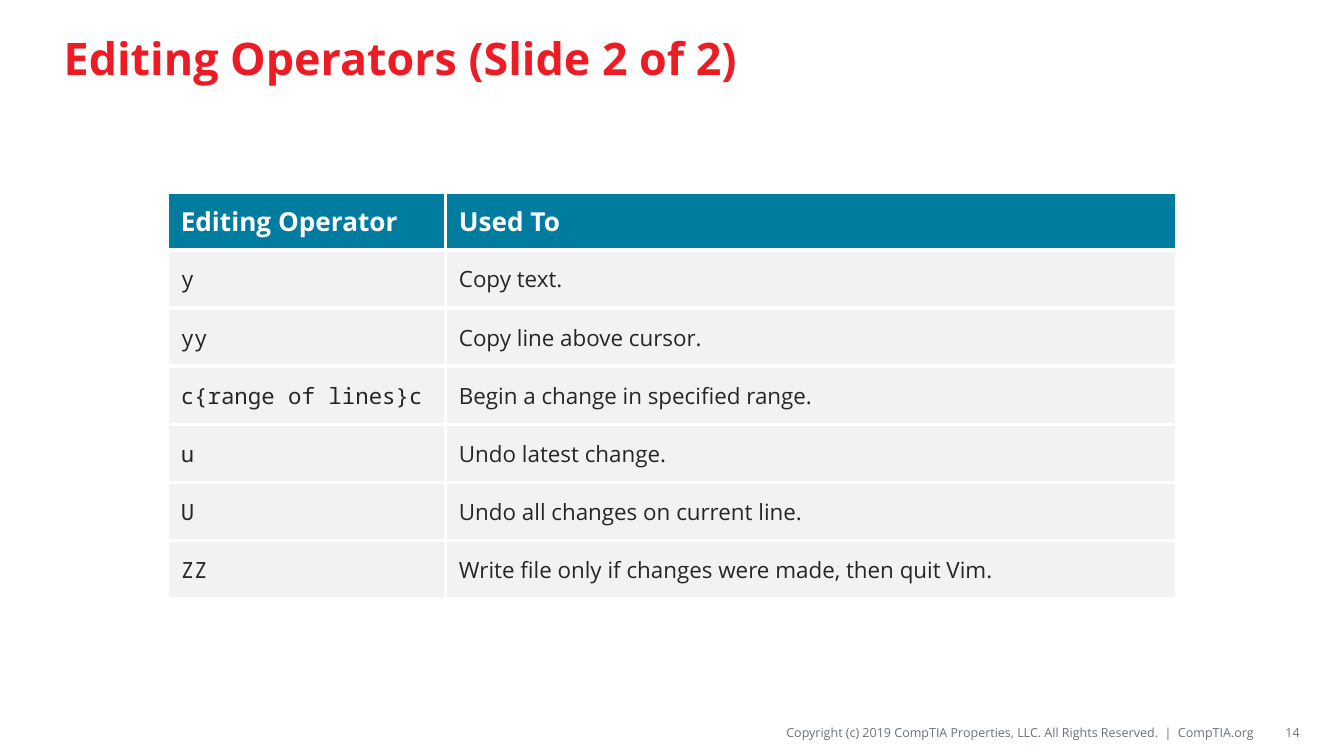
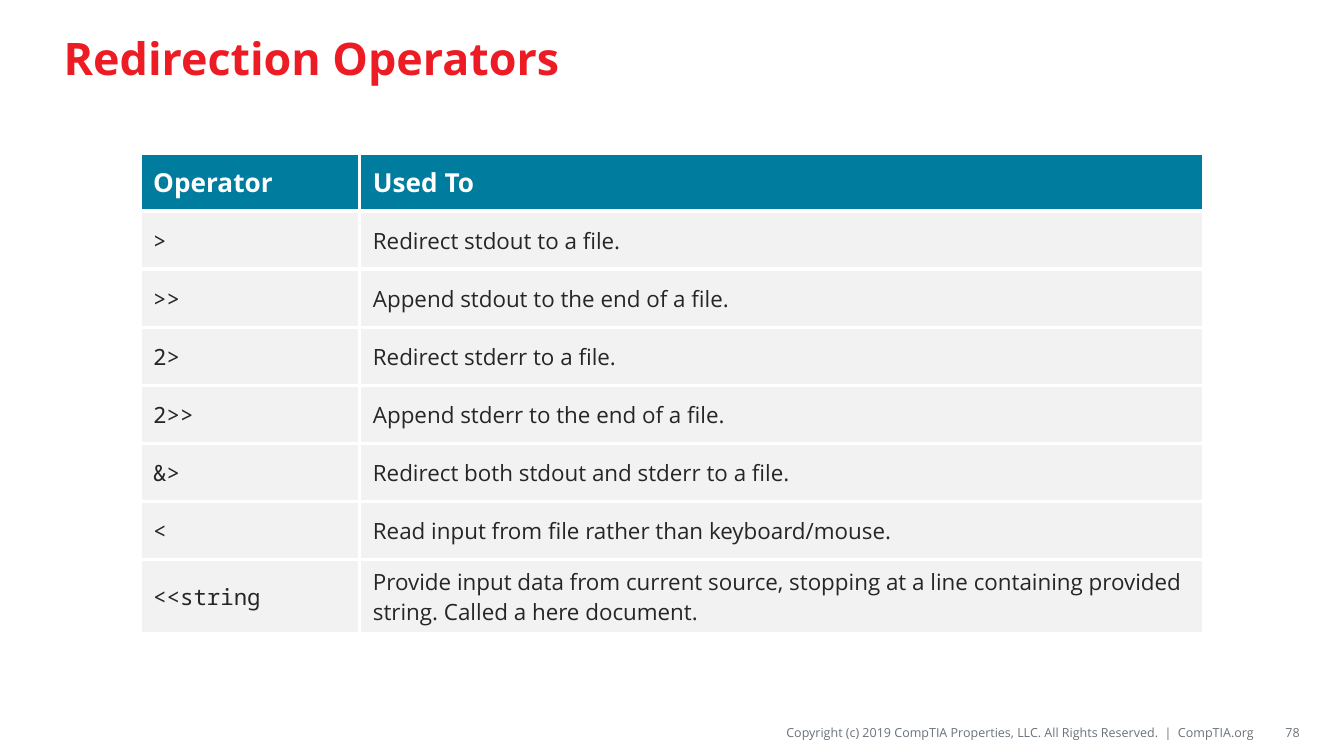
from lxml.etree import SubElement
from pptx import Presentation
from pptx.dml.color import RGBColor
from pptx.enum.text import MSO_ANCHOR as Anchor, PP_ALIGN as Align
from pptx.oxml.ns import qn
from pptx.util import Inches, Pt

WIDTH = Inches(10)
HEIGHT = WIDTH * 9 // 16
COLUMNS, ROWS = 100, 56.25
TABLE_ROW, WRAPPED_ROW = 4.32, 5.5
LINE_LENGTH = 80
COLORS = {
    "title": "ED1C24",
    "footer": "69727B",
    "header": "007C9E",
    "band": "F2F2F2",
    "body": "262626",
    "white": "FFFFFF",
}
SANS, MONO = "Open Sans", "Noto Sans Mono"
COPYRIGHT = "Copyright (c) 2019 CompTIA Properties, LLC. All Rights Reserved.  |  CompTIA.org"

EDITING = [
    ("Editing Operator", "Used To"),
    ("y", "Copy text."),
    ("yy", "Copy line above cursor."),
    ("c{range of lines}c", "Begin a change in specified range."),
    ("u", "Undo latest change."),
    ("U", "Undo all changes on current line."),
    ("ZZ", "Write file only if changes were made, then quit Vim."),
]
REDIRECTION = [
    ("Operator", "Used To"),
    (">", "Redirect stdout to a file."),
    (">>", "Append stdout to the end of a file."),
    ("2>", "Redirect stderr to a file."),
    ("2>>", "Append stderr to the end of a file."),
    ("&>", "Redirect both stdout and stderr to a file."),
    ("<", "Read input from file rather than keyboard/mouse."),
    ("<<string", "Provide input data from current source, stopping at a line "
                 "containing provided string. Called a here document."),
]


def across(columns):
    return round(WIDTH * columns / COLUMNS)


def down(rows):
    return round(HEIGHT * rows / ROWS)


def write(frame, text, size=12, color="body", font=SANS, bold=False, align=Align.LEFT):
    frame.word_wrap = True
    paragraph = frame.paragraphs[0]
    paragraph.alignment = align
    run = paragraph.add_run()
    run.text = text
    run.font.size = Pt(size)
    run.font.name = font
    run.font.bold = bold
    run.font.color.rgb = RGBColor.from_string(COLORS[color])


class Deck:
    def __init__(self):
        self.show = Presentation()
        self.show.slide_width, self.show.slide_height = WIDTH, HEIGHT
        self.slide = None

    def page(self, title, number):
        self.slide = self.show.slides.add_slide(self.show.slide_layouts[6])
        background = self.slide.background.fill
        background.solid()
        background.fore_color.rgb = RGBColor.from_string(COLORS["white"])
        self.footer(COPYRIGHT, 38.8, 54.6, inset=0)
        self.text(title, 3.75, 0.8, 92.5, 6.9, size=24, color="title", bold=True)
        self.footer(number, 93.8, 2.9, inset=0.1)

    def footer(self, text, left, width, inset):
        self.text(text, left, 53.4, width, 2.2, insets=(inset, 0.04, 0, 0.04),
                  size=6.75, color="footer", align=Align.RIGHT)

    def text(self, text, left, top, width, height, insets=(0.1, 0.05, 0.1, 0.05), **style):
        box = self.slide.shapes.add_textbox(across(left), down(top), across(width), down(height))
        frame = box.text_frame
        frame.vertical_anchor = Anchor.MIDDLE
        (frame.margin_left, frame.margin_top,
         frame.margin_right, frame.margin_bottom) = map(Inches, insets)
        write(frame, text, **style)

    def table(self, entries, left, top, widths):
        heights = [WRAPPED_ROW if len(use) > LINE_LENGTH else TABLE_ROW for _, use in entries]
        table = self.slide.shapes.add_table(
            len(entries), len(widths), across(left), down(top),
            across(sum(widths)), down(sum(heights))).table
        table.horz_banding = False
        for column, width in zip(table.columns, widths):
            column.width = across(width)
        for index, (entry, height) in enumerate(zip(entries, heights)):
            table.rows[index].height = down(height)
            for position, text in enumerate(entry):
                cell = table.cell(index, position)
                if index == 0:
                    self.cell(cell, text, "header", size=14, color="white", bold=True)
                else:
                    self.cell(cell, text, "band", font=SANS if position else MONO)

    def cell(self, cell, text, fill, **style):
        properties = cell._tc.get_or_add_tcPr()
        for side in ("lnL", "lnR", "lnT", "lnB"):
            border = SubElement(properties, qn(f"a:{side}"), w=str(Pt(2.25)))
            paint = SubElement(border, qn("a:solidFill"))
            SubElement(paint, qn("a:srgbClr"), val=COLORS["white"])
        cell.fill.solid()
        cell.fill.fore_color.rgb = RGBColor.from_string(COLORS[fill])
        cell.vertical_anchor = Anchor.MIDDLE
        write(cell.text_frame, text, **style)


def main():
    deck = Deck()
    deck.page("Editing Operators (Slide 2 of 2)", "14")
    deck.table(EDITING, 12.45, 14.3, (20.7, 54.4))
    deck.page("Redirection Operators", "78")
    deck.table(REDIRECTION, 10.4, 11.4, (16.35, 62.8))
    deck.show.save("out.pptx")


if __name__ == "__main__":
    main()
